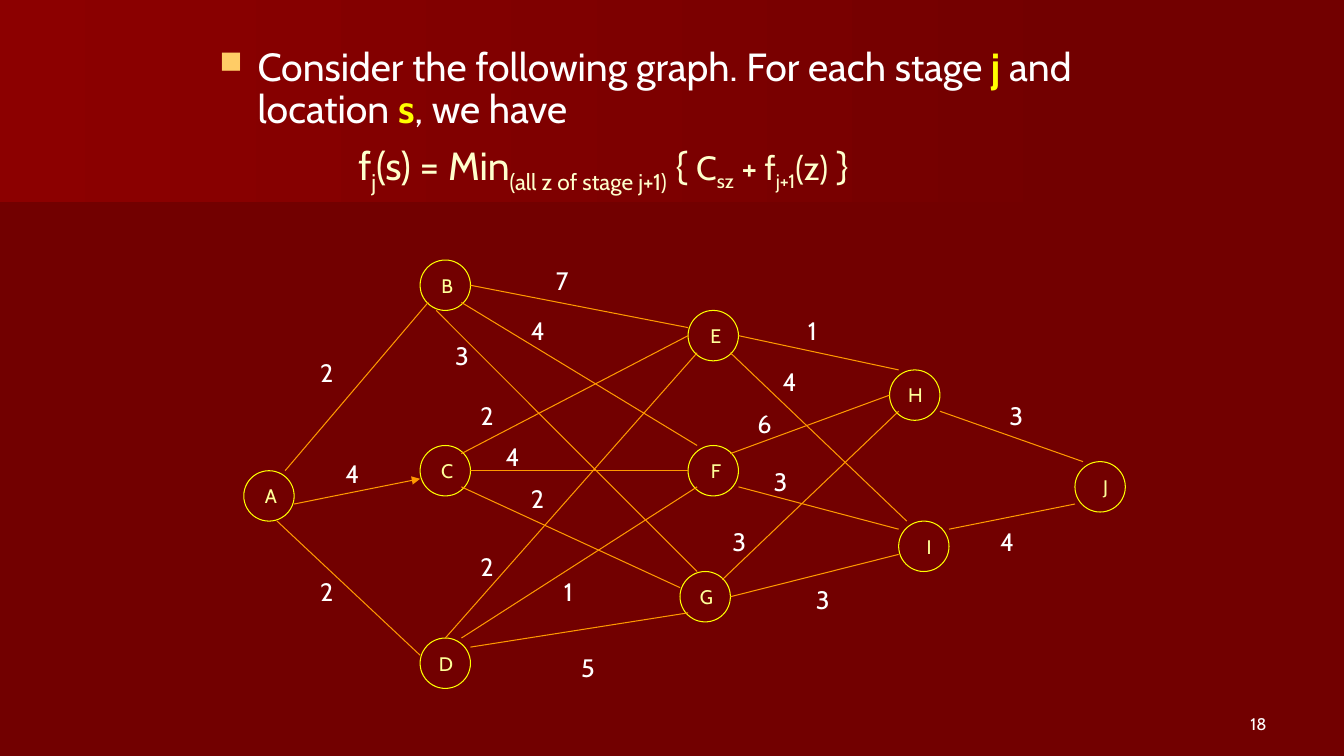
from typing import NamedTuple

import lxml.etree
import pptx
import pptx.dml.color
import pptx.enum.shapes
import pptx.enum.text
import pptx.oxml.ns
import pptx.presentation
import pptx.shapes.autoshape
import pptx.slide
import pptx.text.text
import pptx.util
from pptx.util import Inches

FONT = "Cabin"
WHITE = "FFFFFF"
YELLOW = "FFFF00"
CREAM = "FFFFCC"
NODE_SIZE = 0.5
ALIGN = pptx.enum.text.PP_ALIGN
ANCHOR = pptx.enum.text.MSO_ANCHOR


class Span(NamedTuple):
    text: str
    size: float
    color: str = WHITE
    bold: bool = False
    subscript: bool = False


class Band(NamedTuple):
    points: list[tuple[float, float]]
    start_color: str


class Node(NamedTuple):
    name: str
    left: float
    top: float


class Edge(NamedTuple):
    start: tuple[float, float]
    end: tuple[float, float]
    weight: str
    label: tuple[float, float]
    arrow: bool = False


BANDS = [
    Band([(10.37, 1.53), (0, 2.17), (0, 1.01), (10.39, 1.01), (10.37, 1.28)], "6B0000"),
    Band([(10.56, 1.62), (0, 2.08), (0, 0), (10.56, 0)], "8C0000"),
]

INTRODUCTION = [
    Span("Consider the following graph. For each stage", 28),
    Span(" j", 28, YELLOW, bold=True),
    Span(" and location ", 28),
    Span("s", 28, YELLOW, bold=True),
    Span(", we have", 28),
]

FORMULA = [
    Span("f", 28, CREAM),
    Span("j", 28, CREAM, subscript=True),
    Span("(s) = Min", 28, CREAM),
    Span("(all z of stage j+1)", 28, CREAM, subscript=True),
    Span(" { ", 28, CREAM),
    Span("C", 24, CREAM),
    Span("sz", 24, CREAM, subscript=True),
    Span(" + f", 24, CREAM),
    Span("j+1", 24, CREAM, subscript=True),
    Span("(z)", 24, CREAM),
    Span(" }", 28, CREAM),
]

NODES = [
    Node("A", 2.42, 4.67),
    Node("B", 4.17, 2.58),
    Node("C", 4.17, 4.42),
    Node("D", 4.17, 6.33),
    Node("E", 6.83, 3.08),
    Node("F", 6.83, 4.42),
    Node("G", 6.75, 5.67),
    Node("H", 8.83, 3.67),
    Node("I", 8.92, 5.17),
    Node("J", 10.67, 4.58),
]

EDGES = [
    Edge((2.83, 4.67), (4.25, 3), "2", (3.08, 3.5)),
    Edge((2.92, 5), (4.17, 4.75), "4", (3.33, 4.5), arrow=True),
    Edge((2.75, 5.17), (4.17, 6.5), "2", (3.08, 5.67)),
    Edge((4.67, 2.83), (6.83, 3.25), "7", (5.42, 2.58)),
    Edge((4.58, 3), (6.92, 4.42), "4", (5.17, 3.08)),
    Edge((4.33, 3.08), (6.92, 5.67), "3", (4.42, 3.33)),
    Edge((4.58, 4.5), (6.83, 3.33), "2", (4.67, 3.92)),
    Edge((4.67, 4.67), (6.83, 4.67), "4", (4.92, 4.33)),
    Edge((4.58, 4.83), (6.75, 5.83), "2", (5.17, 4.75)),
    Edge((4.42, 6.33), (6.92, 3.5), "2", (4.67, 5.42)),
    Edge((4.58, 6.33), (6.92, 4.83), "1", (5.5, 5.67)),
    Edge((4.67, 6.42), (6.83, 6.08), "5", (5.67, 6.42)),
    Edge((7.33, 3.33), (8.92, 3.67), "1", (7.92, 3.08)),
    Edge((7.25, 3.5), (9, 5.17), "4", (7.67, 3.58)),
    Edge((7.25, 4.5), (8.83, 3.92), "6", (7.42, 4)),
    Edge((7.33, 4.83), (8.92, 5.25), "3", (7.58, 4.58)),
    Edge((7.17, 5.75), (8.92, 4.08), "3", (7.17, 5.17)),
    Edge((7.25, 5.92), (8.92, 5.5), "3", (8, 5.75)),
    Edge((9.33, 4.08), (10.75, 4.58), "3", (9.92, 3.92)),
    Edge((9.42, 5.25), (10.67, 5), "4", (9.83, 5.17)),
]


def color(value: str) -> pptx.dml.color.RGBColor:
    return pptx.dml.color.RGBColor.from_string(value)


def add_element(parent: lxml.etree._Element, tag: str, **attributes: str) -> lxml.etree._Element:
    return lxml.etree.SubElement(parent, pptx.oxml.ns.qn(tag), attributes)


def add_spans(para: pptx.text.text._Paragraph, spans: list[Span]) -> None:
    for item in spans:
        span = para.add_run()
        span.text = item.text
        span.font.name = FONT
        span.font.size = pptx.util.Pt(item.size)
        span.font.bold = item.bold
        span.font.color.rgb = color(item.color)
        if item.subscript:
            span._r.get_or_add_rPr().set("baseline", "-25000")


def add_text(page: pptx.slide.Slide, left: float, top: float, width: float, height: float,
             spans: list[Span]) -> pptx.text.text.TextFrame:
    box = page.shapes.add_textbox(Inches(left), Inches(top), Inches(width), Inches(height))
    frame = box.text_frame
    frame.word_wrap = True
    add_spans(frame.paragraphs[0], spans)
    return frame


def draw_band(page: pptx.slide.Slide, band: Band) -> None:
    builder = page.shapes.build_freeform(*band.points[0], scale=Inches(1))
    builder.add_line_segments(band.points[1:], close=True)
    shape = builder.convert_to_shape()
    shape.shadow.inherit = False
    shape.line.fill.background()
    shape.fill.gradient()
    shape.fill.gradient_angle = 0
    for stop, value in zip(shape.fill.gradient_stops, (band.start_color, "720000")):
        stop.color.rgb = color(value)
    for stop, position in zip(shape.fill.gradient_stops, (0, 1)):
        stop.position = position


def draw_heading(page: pptx.slide.Slide) -> None:
    frame = add_text(page, 2.08, 0.42, 9, 1.58, INTRODUCTION)
    introduction = frame.paragraphs[0]
    introduction.line_spacing = 0.9
    properties = introduction._p.get_or_add_pPr()
    properties.set("marL", str(Inches(0.38)))
    properties.set("indent", str(Inches(-0.38)))
    add_element(add_element(properties, "a:buClr"), "a:srgbClr", val="FFCC66")
    add_element(properties, "a:buSzPct", val="80000")
    add_element(properties, "a:buChar", char="■")
    formula = frame.add_paragraph()
    formula.line_spacing = 0.9
    formula.space_before = pptx.util.Pt(7)
    formula._p.get_or_add_pPr().set("marL", str(Inches(1.38)))
    add_spans(formula, FORMULA)


def draw_node(page: pptx.slide.Slide, node: Node) -> None:
    shape = page.shapes.add_shape(
        pptx.enum.shapes.MSO_SHAPE.OVAL,
        Inches(node.left), Inches(node.top), Inches(NODE_SIZE), Inches(NODE_SIZE))
    shape.shadow.inherit = False
    shape.fill.background()
    shape.line.color.rgb = color(YELLOW)
    shape.line.width = pptx.util.Pt(0.75)
    frame = shape.text_frame
    frame.word_wrap = True
    frame.margin_left = 0
    frame.vertical_anchor = ANCHOR.MIDDLE
    para = frame.paragraphs[0]
    para.alignment = ALIGN.RIGHT
    add_spans(para, [Span(node.name, 14, "FFFF99")])


def draw_edge(page: pptx.slide.Slide, edge: Edge) -> None:
    ends = [Inches(value) for value in edge.start + edge.end]
    line = page.shapes.add_connector(pptx.enum.shapes.MSO_CONNECTOR.STRAIGHT, *ends)
    line.line.color.rgb = color("FF9900")
    line.line.width = pptx.util.Pt(0.75)
    if edge.arrow:
        add_element(line.line._get_or_add_ln(), "a:tailEnd", type="triangle")
    add_element(line._element.spPr, "a:effectLst")
    add_text(page, *edge.label, 0.33, 0.42, [Span(edge.weight, 18)])


def main() -> None:
    deck = pptx.Presentation()
    deck.slide_width = Inches(13.34)
    deck.slide_height = Inches(7.5)
    page = deck.slides.add_slide(deck.slide_layouts[6])
    page.background.fill.solid()
    page.background.fill.fore_color.rgb = color("720000")
    for band in BANDS:
        draw_band(page, band)
    number = add_text(page, 9.56, 6.83, 3.11, 0.5, [Span("18", 12)])
    number.vertical_anchor = ANCHOR.BOTTOM
    number.paragraphs[0].alignment = ALIGN.RIGHT
    draw_heading(page)
    for node in NODES:
        draw_node(page, node)
    for edge in EDGES:
        draw_edge(page, edge)
    deck.save("out.pptx")


if __name__ == "__main__":
    main()
